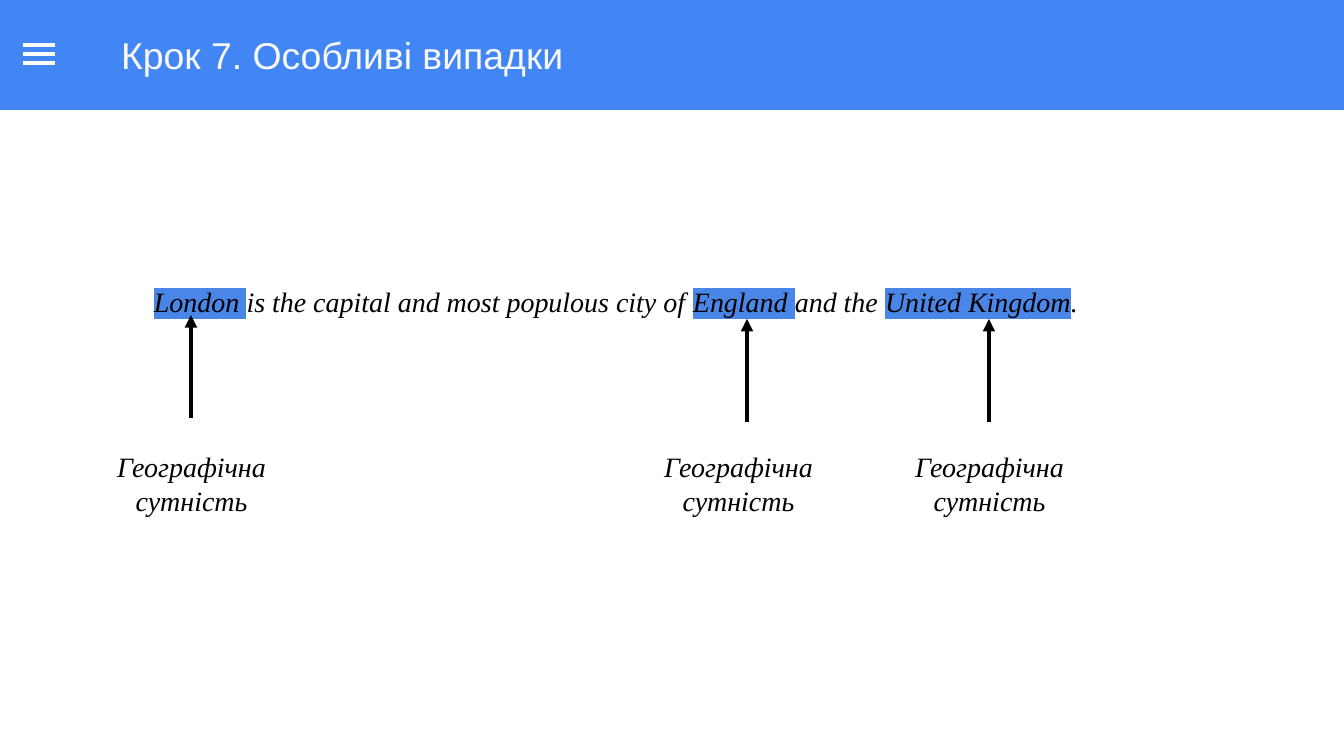
from lxml import etree
from pptx import Presentation
from pptx.dml.color import RGBColor
from pptx.enum.shapes import MSO_CONNECTOR, MSO_SHAPE
from pptx.enum.text import MSO_ANCHOR, PP_ALIGN
from pptx.oxml.ns import qn
from pptx.util import Pt

PX = 914400 / 134.4
RECT, STRAIGHT = MSO_SHAPE.RECTANGLE, MSO_CONNECTOR.STRAIGHT
LEFT, CENTER = PP_ALIGN.LEFT, PP_ALIGN.CENTER
TOP, MIDDLE = MSO_ANCHOR.TOP, MSO_ANCHOR.MIDDLE
C = {"bar": "4286F5", "title": "F9F9F9", "menu": "FFFFFF",
     "text": "000000", "mark": "4A86E8"}


def add_line(x1, y1, x2, y2, color):
    ends = [round(v * PX) for v in (x1, y1, x2, y2)]
    s = slide.shapes.add_connector(STRAIGHT, *ends)
    s.line.color.rgb = RGBColor.from_string(C[color])
    s.line.width = Pt(2.25)
    etree.SubElement(s._element.spPr, qn("a:effectLst"))
    return s


def format_text(s, font, size, color, align, anchor, top):
    tf = s.text_frame
    tf.word_wrap = True
    tf.vertical_anchor = anchor
    tf.margin_left = tf.margin_right = tf.margin_bottom = round(13 * PX)
    tf.margin_top = round(top * PX)
    p = tf.paragraphs[0]
    p.alignment = align
    p.font.name = font
    p.font.size = Pt(size)
    p.font.color.rgb = RGBColor.from_string(C[color])
    return p


prs = Presentation()
prs.slide_width, prs.slide_height = round(1344 * PX), round(756 * PX)
slide = prs.slides.add_slide(prs.slide_layouts[5])

bar = slide.shapes.add_shape(RECT, 0, round(-1 * PX), prs.slide_width, round(110 * PX))
bar.shadow.inherit = False
bar.fill.solid()
bar.fill.fore_color.rgb = bar.line.color.rgb = RGBColor.from_string(C["bar"])
bar.line.width = Pt(0.75)
slide.shapes._spTree.insert(2, bar._element)

title = slide.shapes.title
title.left, title.top, title.width, title.height = [
    round(v * PX) for v in (108, 17, 1191, 76)]
title.text_frame.text = "Крок 7. Особливі випадки"
format_text(title, "Arial", 20, "title", LEFT, MIDDLE, 13)

for i in range(3):
    y = 45 + 9 * i
    add_line(23, y, 55, y, "menu")

sentence = slide.shapes.add_textbox(*[round(v * PX) for v in (55, 269, 1122, 196)])
p = format_text(sentence, "Times New Roman", 15, "text", CENTER, TOP, 16)
p.font.italic = True
for text, marked in [
    ("London ", True),
    ("is the capital and most populous city of ", False),
    ("England ", True),
    ("and the ", False),
    ("United Kingdom", True),
    (".", False),
]:
    r = p.add_run()
    r.text = text
    if marked:
        highlight = etree.SubElement(r._r.get_or_add_rPr(), qn("a:highlight"))
        etree.SubElement(highlight, qn("a:srgbClr"), val=C["mark"])

for arrow_x, arrow_top, label_x in [(191, 315, 102), (747, 319, 649), (989, 319, 900)]:
    arrow = add_line(arrow_x, arrow_top + 103, arrow_x, arrow_top, "text")
    etree.SubElement(arrow.line._get_or_add_ln(), qn("a:tailEnd"), type="triangle")
    label = slide.shapes.add_textbox(*[round(v * PX) for v in (label_x, 434, 179, 66)])
    label.text_frame.text = "Географічна сутність"
    p = format_text(label, "Times New Roman", 15, "text", CENTER, TOP, 16)
    p.font.italic = True

prs.save("out.pptx")
